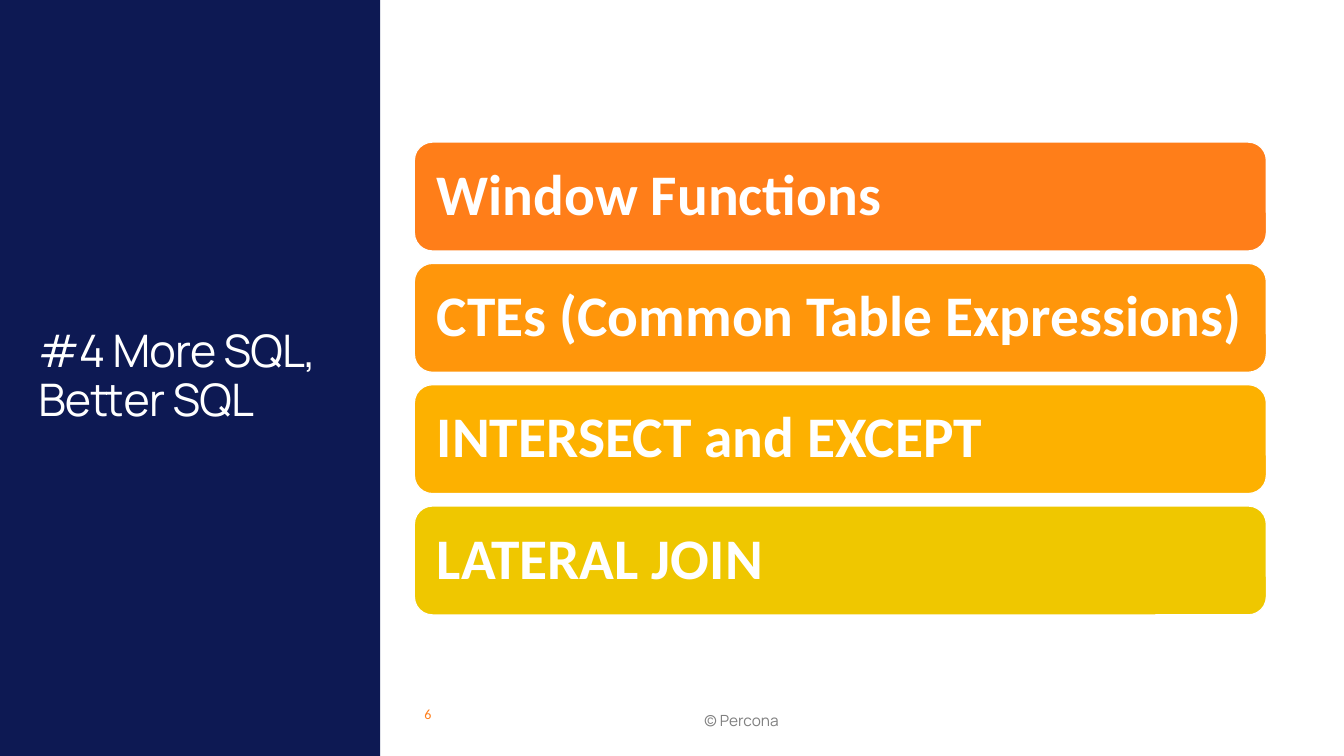
from pptx import Presentation
from pptx import util as u
from pptx.dml.color import RGBColor
from pptx.enum import shapes, text

PX = u.Inches(1) // 100
WHITE = RGBColor(0xFF, 0xFF, 0xFF)
NAVY = RGBColor(0x0D, 0x19, 0x53)
GREY = RGBColor(0x80, 0x80, 0x80)
ORANGE = RGBColor(0xFF, 0x7E, 0x19)
AMBER = RGBColor(0xFF, 0x96, 0x0B)
GOLD = RGBColor(0xFD, 0xB1, 0x00)
YELLOW = RGBColor(0xEF, 0xC7, 0x00)
TOPICS = [
    ("Window Functions", ORANGE),
    ("CTEs (Common Table Expressions)", AMBER),
    ("INTERSECT and EXCEPT", GOLD),
    ("LATERAL JOIN", YELLOW),
]


def scale(*lengths):
    """Turn px lengths into EMU."""
    return [round(length * PX) for length in lengths]


def write(shape, words, font="Calibri", size=10, color=WHITE, bold=False,
          align=text.PP_ALIGN.LEFT, anchor=text.MSO_ANCHOR.MIDDLE,
          spacing=None, after=0, tracking=None, inset=None):
    """Write one formatted paragraph into a shape."""
    frame = shape.text_frame
    frame.word_wrap = True
    frame.auto_size = text.MSO_AUTO_SIZE.NONE
    frame.vertical_anchor = anchor
    if inset is not None:
        frame.margin_left = frame.margin_right = inset * PX
        frame.margin_top = frame.margin_bottom = inset * PX
    para = frame.paragraphs[0]
    para.alignment = align
    para.line_spacing = spacing
    para.space_before = u.Pt(0)
    para.space_after = u.Pt(after)
    span = para.add_run()
    span.text = words
    span.font.name = font
    span.font.size = u.Pt(size)
    span.font.bold = bold
    span.font.color.rgb = color
    if tracking is not None:
        span.font._element.set("spc", str(round(tracking * 100)))


def add_block(page, kind, box, fill):
    """Add a plain filled shape without shadow or line."""
    block = page.shapes.add_shape(kind, *scale(*box))
    block.shadow.inherit = False
    block.fill.solid()
    block.fill.fore_color.rgb = fill
    block.line.fill.background()
    return block


def add_title_panel(page, box):
    """Place the dark side panel with the slide title on it."""
    left, top, width, height = box
    panel = add_block(page, shapes.MSO_SHAPE.RECTANGLE, box, NAVY)
    title = page.shapes.title
    title._element.addprevious(panel._element)
    title.left, title.top, title.width, title.height = scale(
        left + 28, top + 123, width - 55, height - 247)
    write(title, "#4 More SQL, Better SQL", font="Manrope", size=32,
          spacing=0.9, tracking=-0.6)


def add_topics(page, box, row_height=108):
    """Spread the topic bars evenly over the box."""
    left, top, width, height = box
    pitch = (height - row_height) / (len(TOPICS) - 1)
    for index, (words, color) in enumerate(TOPICS):
        bar = add_block(page, shapes.MSO_SHAPE.ROUNDED_RECTANGLE,
                        (left, top + index * pitch, width, row_height), color)
        bar.line.color.rgb = WHITE
        bar.line.width = u.Pt(0.85)
        write(bar, words, size=41, bold=True, spacing=0.9, inset=17)


def add_footer(page, box):
    """Place the copyright line and the page number."""
    left, top, width, height = box
    notice = page.shapes.add_textbox(*scale(left, top, width, height))
    write(notice, "© Percona", font="Manrope", size=11, color=GREY,
          align=text.PP_ALIGN.CENTER, after=6)
    number = page.shapes.add_textbox(*scale(left + 10, top, 167, height))
    write(number, "6", color=ORANGE, anchor=text.MSO_ANCHOR.TOP, after=6)


def main():
    """Build the slide and save the deck."""
    deck = Presentation()
    deck.slide_width, deck.slide_height = scale(1333, 750)
    page = deck.slides.add_slide(deck.slide_layouts[5])
    add_title_panel(page, (0, 0, 377, 750))
    add_footer(page, (401, 695, 669, 40))
    add_topics(page, (411, 141, 845, 469))
    deck.save("out.pptx")


if __name__ == "__main__":
    main()
